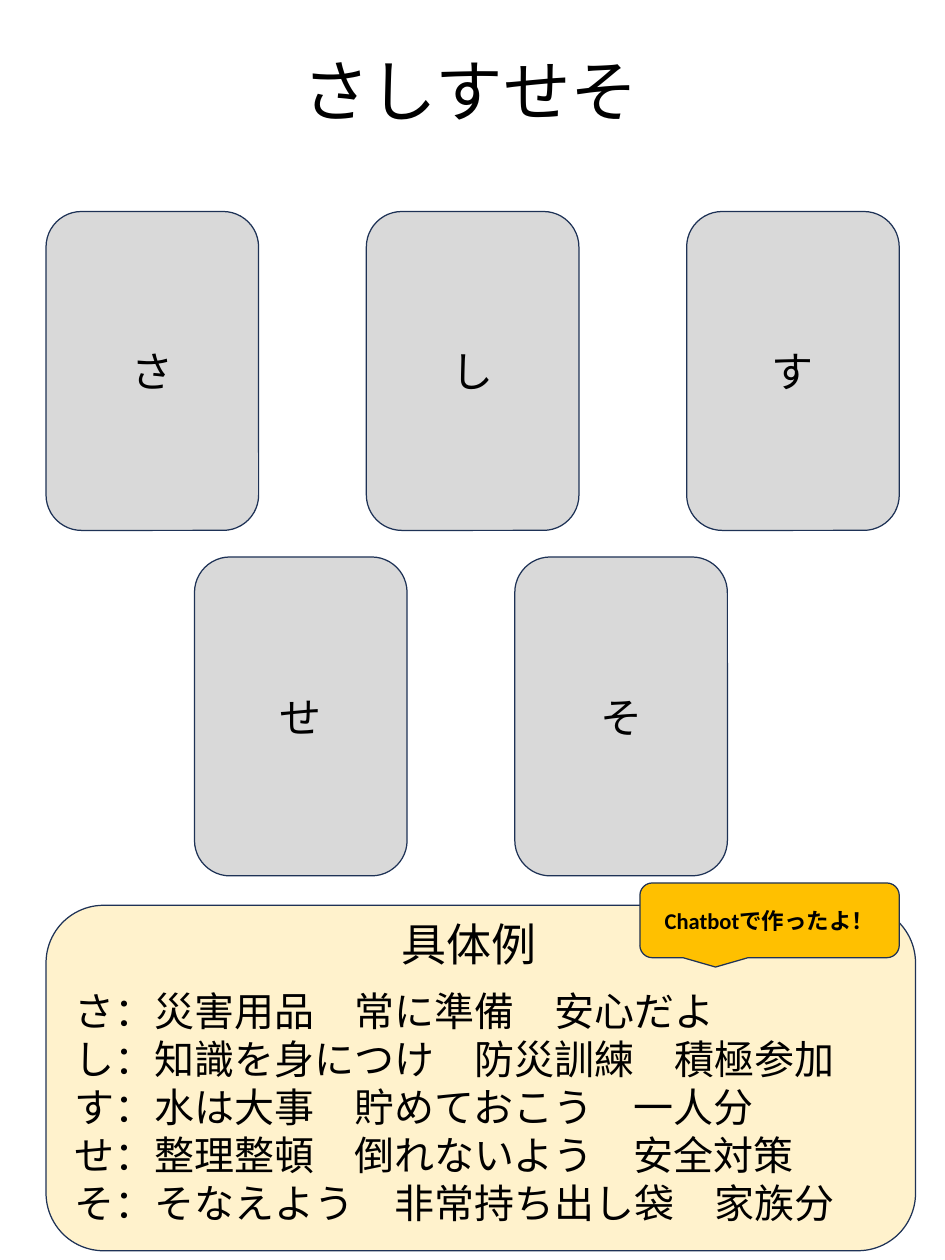
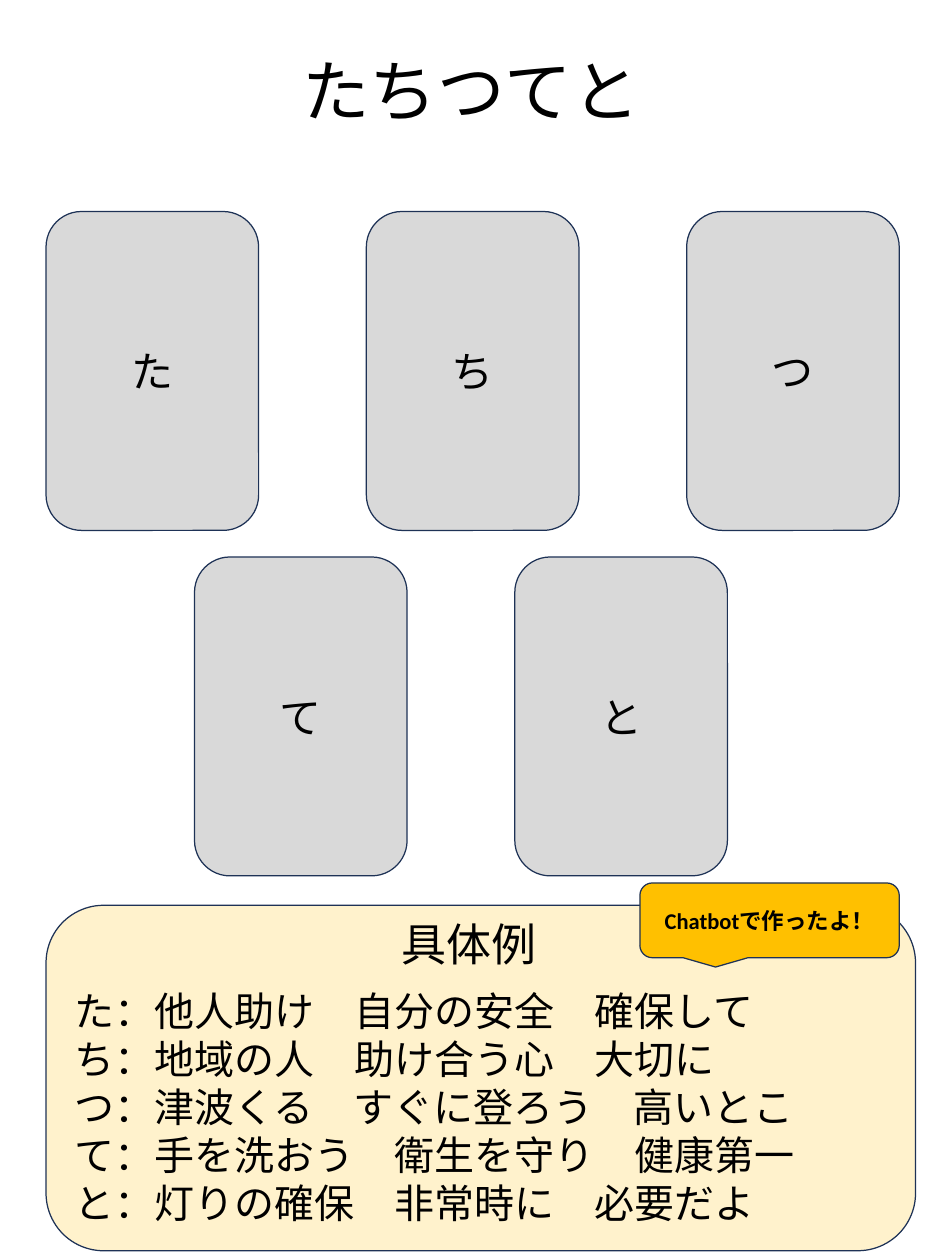
from dataclasses import dataclass

from lxml.etree import SubElement
from pptx import Presentation
from pptx.dml.color import RGBColor
from pptx.enum.shapes import MSO_SHAPE
from pptx.enum.text import MSO_ANCHOR, MSO_AUTO_SIZE, PP_ALIGN
from pptx.oxml.ns import qn
from pptx.util import Cm, Pt


@dataclass(frozen=True)
class Theme:
    text: RGBColor = RGBColor(0x00, 0x00, 0x00)
    outline: RGBColor = RGBColor(0x1E, 0x32, 0x56)
    card: RGBColor = RGBColor(0xD9, 0xD9, 0xD9)
    panel: RGBColor = RGBColor(0xFF, 0xF2, 0xCC)
    callout: RGBColor = RGBColor(0xFF, 0xC0, 0x00)
    font: str = "Noto Sans CJK JP"
    callout_font: str = "Calibri"
    title_size: float = 54
    heading_size: float = 36
    card_size: float = 33.6
    verse_size: float = 32
    callout_size: float = 18
    line_height: float = 1.2


@dataclass(frozen=True)
class Box:
    """Position and size in centimetres."""
    left: float
    top: float
    width: float
    height: float

    def lengths(self) -> tuple:
        return Cm(self.left), Cm(self.top), Cm(self.width), Cm(self.height)


@dataclass(frozen=True)
class CardRow:
    left: float
    top: float
    count: int


@dataclass(frozen=True)
class Acrostic:
    """A kana row and one three-phrase verse for each of its letters."""
    title: str
    verses: tuple[tuple[str, str, str], ...]


THEME = Theme()
TITLE = Box(8.28, 1.27, 10.13, 2.57)
PANEL = Box(1.3, 25.55, 24.54, 9.75)
HEADING = Box(11.07, 25.73, 4.37, 1.8)
VERSES = Box(1.85, 27.71, 24.41, 7.09)
CALLOUT = Box(18.06, 24.92, 7.32, 2.11)
CARD_WIDTH, CARD_HEIGHT, CARD_STEP = 6, 9, 9.04
CARD_ROWS = (CardRow(1.3, 5.97, 3), CardRow(5.49, 15.72, 2))

ACROSTICS = (
    Acrostic("さしすせそ", (
        ("災害用品", "常に準備", "安心だよ"),
        ("知識を身につけ", "防災訓練", "積極参加"),
        ("水は大事", "貯めておこう", "一人分"),
        ("整理整頓", "倒れないよう", "安全対策"),
        ("そなえよう", "非常持ち出し袋", "家族分"),
    )),
    Acrostic("たちつてと", (
        ("他人助け", "自分の安全", "確保して"),
        ("地域の人", "助け合う心", "大切に"),
        ("津波くる", "すぐに登ろう", "高いとこ"),
        ("手を洗おう", "衛生を守り", "健康第一"),
        ("灯りの確保", "非常時に", "必要だよ"),
    )),
)


def write(tf, text: str, size: float, align: PP_ALIGN,
          font: str = THEME.font, bold: bool = False) -> None:
    tf.text = text
    for p in tf.paragraphs:
        p.alignment = align
        p.line_spacing = Pt(size * THEME.line_height)
        for r in p.runs:
            r.font.name = font
            r.font.size = Pt(size)
            r.font.bold = bold
            r.font.color.rgb = THEME.text
            SubElement(r.font._element, qn("a:ea"), typeface=THEME.font)


def add_text(slide, box: Box, text: str, size: float, wrap: bool = False) -> None:
    tf = slide.shapes.add_textbox(*box.lengths()).text_frame
    tf.word_wrap = wrap
    tf.auto_size = MSO_AUTO_SIZE.SHAPE_TO_FIT_TEXT
    write(tf, text, size, PP_ALIGN.LEFT)


def add_block(slide, box: Box, fill: RGBColor,
              kind: MSO_SHAPE = MSO_SHAPE.ROUNDED_RECTANGLE):
    sp = slide.shapes.add_shape(kind, *box.lengths())
    sp.shadow.inherit = False
    sp.fill.solid()
    sp.fill.fore_color.rgb = fill
    sp.line.color.rgb = THEME.outline
    sp.line.width = Pt(1)
    sp.text_frame.vertical_anchor = MSO_ANCHOR.MIDDLE
    return sp


def add_cards(slide, letters: str) -> None:
    remaining = iter(letters)
    for row in CARD_ROWS:
        for column in range(row.count):
            box = Box(row.left + column * CARD_STEP, row.top, CARD_WIDTH, CARD_HEIGHT)
            sp = add_block(slide, box, THEME.card)
            write(sp.text_frame, next(remaining), THEME.card_size, PP_ALIGN.CENTER)


def add_acrostic_slide(prs, acrostic: Acrostic) -> None:
    slide = prs.slides.add_slide(prs.slide_layouts[6])
    add_block(slide, PANEL, THEME.panel)
    add_cards(slide, acrostic.title)
    add_text(slide, TITLE, acrostic.title, THEME.title_size)
    lines = [f"{letter}：{'　'.join(verse)}"
             for letter, verse in zip(acrostic.title, acrostic.verses)]
    add_text(slide, VERSES, "\n".join(lines), THEME.verse_size, wrap=True)
    add_text(slide, HEADING, "具体例", THEME.heading_size)
    callout = add_block(slide, CALLOUT, THEME.callout, MSO_SHAPE.ROUNDED_RECTANGULAR_CALLOUT)
    write(callout.text_frame, "Chatbotで作ったよ！", THEME.callout_size,
          PP_ALIGN.CENTER, THEME.callout_font, bold=True)


def main() -> None:
    prs = Presentation()
    prs.slide_width, prs.slide_height = Cm(26.67), Cm(35.56)
    for acrostic in ACROSTICS:
        add_acrostic_slide(prs, acrostic)
    prs.save("out.pptx")


if __name__ == "__main__":
    main()
